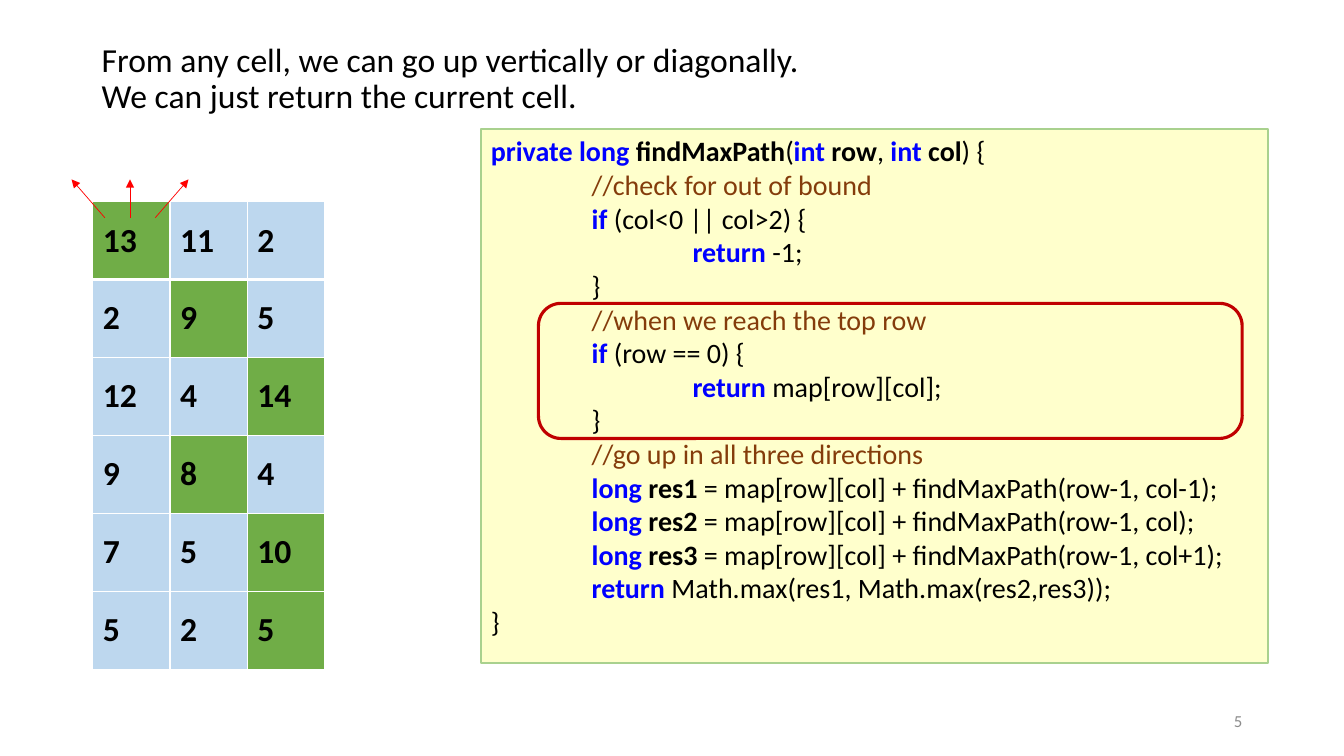
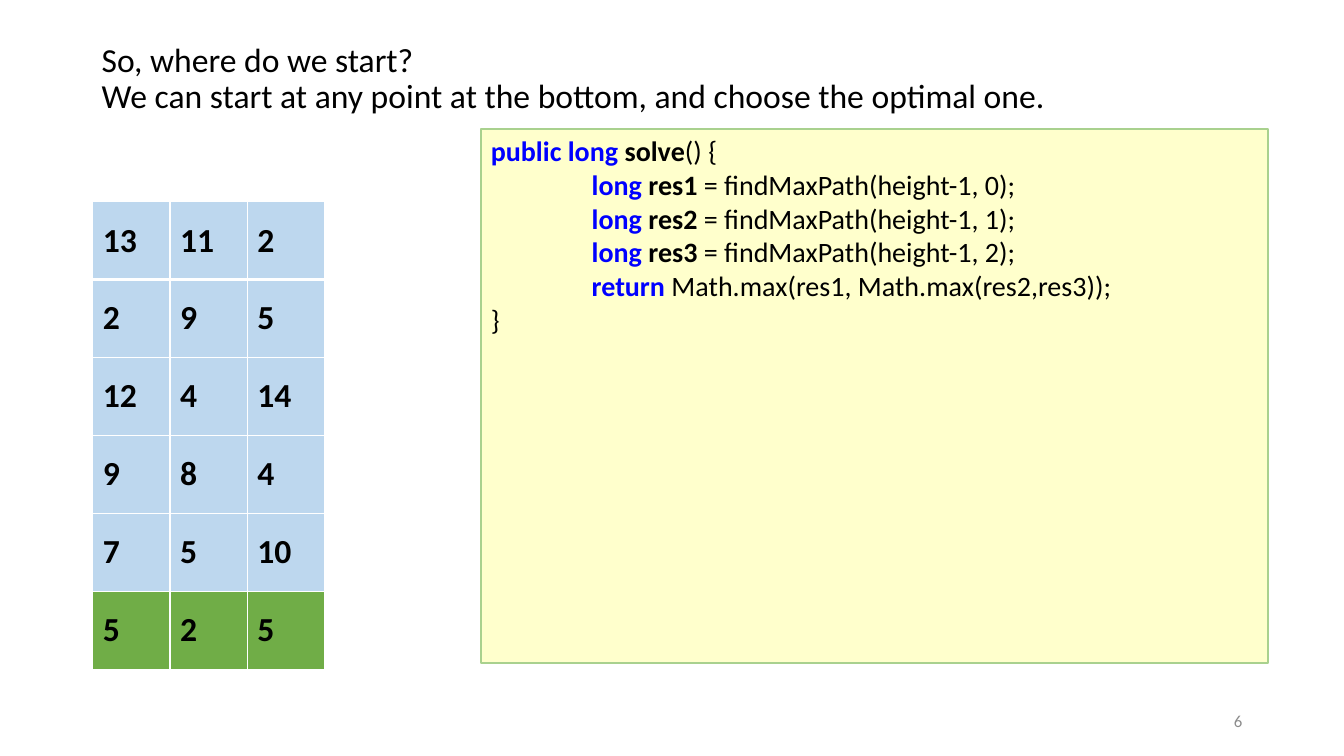
"""Build two slides that pair a number grid with the code that walks it."""
from lxml.etree import SubElement as Sub
from pptx import Presentation
from pptx.dml.color import RGBColor
from pptx.enum.shapes import MSO_CONNECTOR as Link, MSO_SHAPE as Shape
from pptx.enum.text import MSO_ANCHOR as Anchor, PP_ALIGN as Align
from pptx.oxml.ns import qn
from pptx.util import Inches, Pt

FONT = "Calibri"
BLACK, WHITE, GREY = "000000", "FFFFFF", "8C8C8C"
BLUE, GREEN = "BDD7EE", "70AD47"
CREAM, LEAF = "FFFFCC", "A9D18E"
KEY, NOTE = "0000FF", "843C0B"
RED, DARK = "FF0000", "C00000"

STYLES = ((KEY, True), (BLACK, True), (BLACK, False))

GRID = (
    (13, 11, 2),
    (2, 9, 5),
    (12, 4, 14),
    (9, 8, 4),
    (7, 5, 10),
    (5, 2, 5),
)
LEFT, TOP, WIDE, HIGH = 0.92, 2, 2.3, 4.64

# Pieces between tildes cycle through keyword, name and plain.
BEST = (1, "return~~ Math.max(res1, Math.max(res2,res3));")
END = (0, "~~}")
FIND = (
    (0, "private long ~findMaxPath~(~int ~row~, ~int ~col~) {"),
    (1, "//check for out of bound"),
    (1, "if ~~(col<0 || col>2) {"),
    (2, "return~~ -1;"),
    (1, "~~}"),
    (1, "//when we reach the top row"),
    (1, "if~~ (row == 0) {"),
    (2, "return~~ map[row][col];"),
    (1, "~~}"),
    (1, "//go up in all three directions"),
    (1, "long ~res1~ = map[row][col] + findMaxPath(row-1, col-1);"),
    (1, "long ~res2~ = map[row][col] + findMaxPath(row-1, col);"),
    (1, "long ~res3~ = map[row][col] + findMaxPath(row-1, col+1);"),
    BEST,
    END,
)
SOLVE = (
    (0, "public long ~solve~() {"),
    (1, "long ~res1~ = findMaxPath(height-1, 0);"),
    (1, "long ~res2~ = findMaxPath(height-1, 1);"),
    (1, "long ~res3~ = findMaxPath(height-1, 2);"),
    BEST,
    END,
)

SLIDES = (
    {
        "title": "From any cell, we can go up vertically or diagonally.\n"
                 "We can just return the current cell.",
        "code": FIND,
        "lit": {(0, 0), (1, 1), (2, 2), (3, 1), (4, 2), (5, 2)},
        "marks": True,
    },
    {
        "title": "So, where do we start?\n"
                 "We can start at any point at the bottom, and choose the optimal one.",
        "code": SOLVE,
        "lit": {(5, 0), (5, 1), (5, 2)},
        "marks": False,
    },
)


def paint(hue):
    return RGBColor.from_string(hue)


def area(*sides):
    return [Inches(side) for side in sides]


def style(run, size, hue=BLACK, bold=False):
    font = run.font
    font.name, font.size, font.bold = FONT, Pt(size), bold
    font.color.rgb = paint(hue)


def label(slide, box, text, size, hue=BLACK, align=Align.LEFT, space=1.0):
    frame = slide.shapes.add_textbox(*area(*box)).text_frame
    frame.word_wrap = True
    frame.vertical_anchor = Anchor.MIDDLE
    para = frame.paragraphs[0]
    para.text = text
    para.alignment, para.line_spacing = align, space
    for run in para.runs:
        style(run, size, hue)


def panel(slide, kind, box, edge, width, fill=None):
    shape = slide.shapes.add_shape(kind, *area(*box))
    shape.shadow.inherit = False
    if fill:
        shape.fill.solid()
        shape.fill.fore_color.rgb = paint(fill)
    else:
        shape.fill.background()
    shape.line.color.rgb = paint(edge)
    shape.line.width = Pt(width)
    return shape


def stops(para, depth):
    tabs = Sub(para._p.get_or_add_pPr(), qn("a:tabLst"))
    for step in range(1, depth + 1):
        Sub(tabs, qn("a:tab"), pos=str(Inches(step)), algn="l")


def code(slide, lines):
    frame = panel(slide, Shape.RECTANGLE, (4.77, 1.28, 7.81, 5.3), LEAF, 1.5, CREAM).text_frame
    frame.word_wrap = True
    frame.vertical_anchor = Anchor.TOP
    for row, (depth, line) in enumerate(lines):
        para = frame.add_paragraph() if row else frame.paragraphs[0]
        para.text = "\t" * depth
        para.alignment = Align.LEFT
        if depth:
            stops(para, depth)
        for run in para.runs:
            style(run, 20)
        for spot, piece in enumerate(line.split("~")):
            if piece:
                look = (NOTE, False) if piece.startswith("//") else STYLES[spot % 3]
                run = para.add_run()
                run.text = piece
                style(run, 20, *look)


def rule(cell, side, width):
    line = Sub(cell._tc.get_or_add_tcPr(), qn("a:ln" + side), w=str(Pt(width)))
    Sub(Sub(line, qn("a:solidFill")), qn("a:srgbClr"), val=WHITE)


def grid(slide, lit):
    box = area(LEFT, TOP, WIDE, HIGH)
    table = slide.shapes.add_table(len(GRID), len(GRID[0]), *box).table
    table.first_row = table.horz_banding = False
    for row, nums in enumerate(GRID):
        for col, num in enumerate(nums):
            cell = table.cell(row, col)
            cell.text_frame.text = str(num)
            cell.vertical_anchor = Anchor.MIDDLE
            style(cell.text_frame.paragraphs[0].runs[0], 24, bold=True)
            for side in "LRTB":
                rule(cell, side, 3 if (row, side) in ((0, "B"), (1, "T")) else 1)
            cell.fill.solid()
            cell.fill.fore_color.rgb = paint(GREEN if (row, col) in lit else BLUE)


def arrow(slide, start, end):
    link = slide.shapes.add_connector(Link.STRAIGHT, *area(*start, *end))
    link.line.color.rgb = paint(RED)
    link.line.width = Pt(0.5)
    Sub(link.line._get_or_add_ln(), qn("a:tailEnd"), type="triangle")
    Sub(link._element.spPr, qn("a:effectLst"))


def main():
    deck = Presentation()
    deck.slide_width, deck.slide_height = area(13.33, 7.5)
    for page, item in enumerate(SLIDES, 5):
        slide = deck.slides.add_slide(deck.slide_layouts[6])
        label(slide, (0.91, 0.4, 11.51, 0.78), item["title"], 24, space=0.9)
        code(slide, item["code"])
        grid(slide, item["lit"])
        if item["marks"]:
            for way in (-1, 0, 1):
                arrow(slide, (1.29 + way * 0.25, 2.16), (1.29 + way * 0.58, 1.78))
            panel(slide, Shape.ROUNDED_RECTANGLE, (5.34, 3.01, 6.98, 1.34), DARK, 2.25)
        label(slide, (9.42, 6.95, 3, 0.4), str(page), 12, GREY, Align.RIGHT)
    deck.save("out.pptx")


if __name__ == "__main__":
    main()
